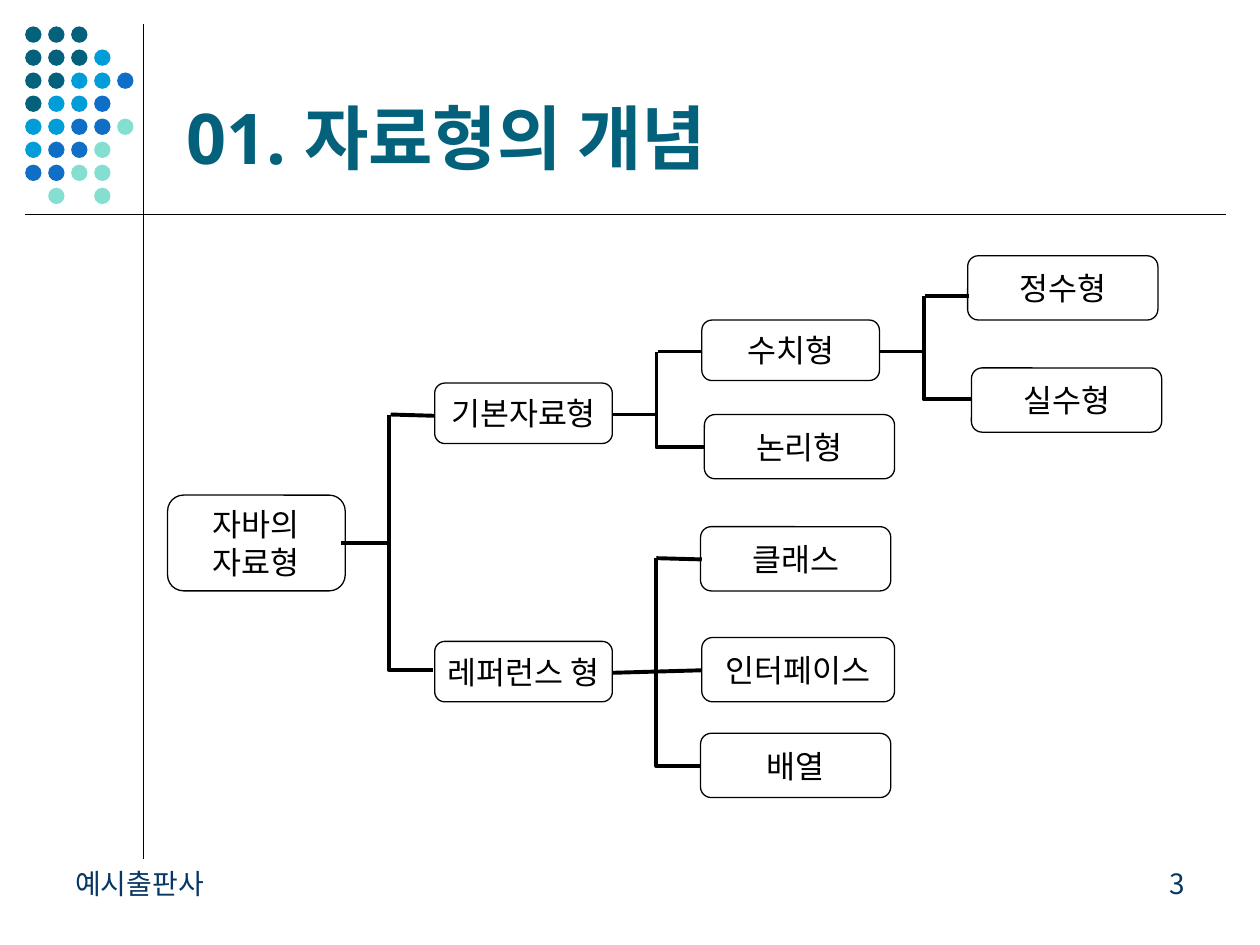
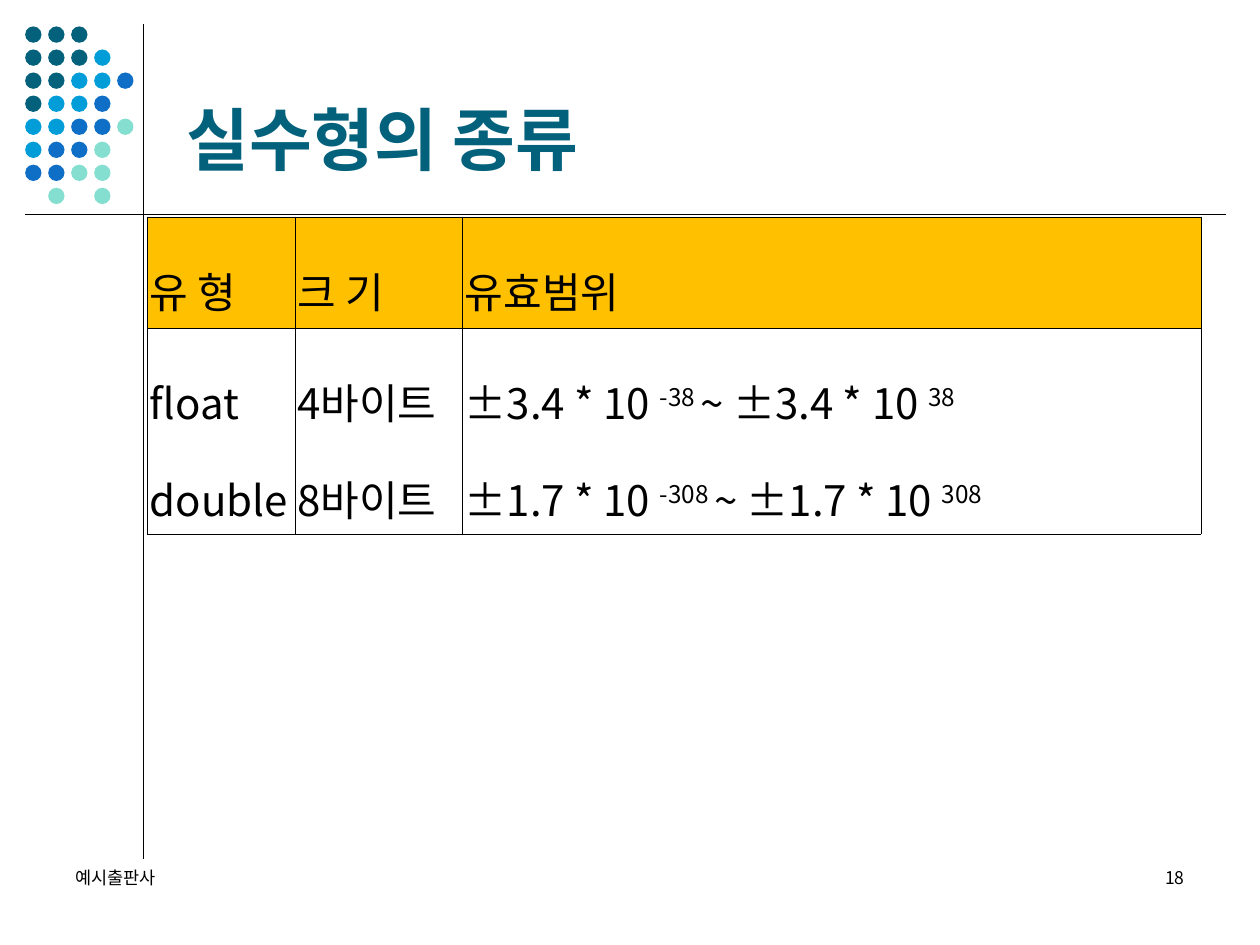
"""Build two Java data type slides: a type hierarchy and a table of floating-point types."""
from dataclasses import dataclass

from lxml.etree import SubElement
from pptx import Presentation
from pptx.dml.color import RGBColor
from pptx.enum.shapes import MSO_CONNECTOR, MSO_SHAPE
from pptx.enum.text import MSO_ANCHOR, PP_ALIGN
from pptx.oxml.ns import qn
from pptx.util import Inches, Pt


@dataclass(frozen=True)
class Theme:
    black: str = "000000"
    teal: str = "04617B"
    sky: str = "009DD9"
    blue: str = "0F6FC6"
    mint: str = "85DFD0"
    navy: str = "083763"
    amber: str = "FFC000"
    title_font: str = "Open Sans"
    body_font: str = "Noto Sans CJK KR"
    box_size: float = 18
    table_size: float = 24
    thin: float = 0.75
    thick: float = 2.25
    cell_border: float = 0.11


theme = Theme()


def add_run(paragraph, text, size, color=theme.black, font=theme.body_font, bold=False):
    run = paragraph.add_run()
    run.text = text
    run.font.size = Pt(size)
    run.font.bold = bold
    run.font.color.rgb = RGBColor.from_string(color)
    run.font.name = font
    properties = run._r.get_or_add_rPr()
    SubElement(properties, qn("a:ea"), typeface=theme.body_font)
    return properties


def add_line(slide, ends, width, kind=MSO_CONNECTOR.STRAIGHT):
    connector = slide.shapes.add_connector(kind, *[Inches(value) for value in ends])
    connector.line.width = Pt(width)
    connector.line.color.rgb = RGBColor.from_string(theme.black)
    SubElement(connector._element.spPr, qn("a:effectLst"))
    return connector


presentation = Presentation()
presentation.slide_width = Inches(10)
presentation.slide_height = Inches(7.5)

dot_colors = {"T": theme.teal, "S": theme.sky, "B": theme.blue, "M": theme.mint}
dot_rows = ["TTT", "TTTS", "TTSSB", "TSSB", "SSBBM", "SBBM", "BBMM", " M M"]
publisher = "예시출판사"
headings = [
    ("01. 자료형의 개념", 40, "3", 16, theme.navy),
    ("실수형의 종류", 39, "18", 10, theme.black),
]

for title, title_size, number, footer_size, footer_color in headings:
    slide = presentation.slides.add_slide(presentation.slide_layouts[6])
    add_line(slide, (1.14, 0.19, 1.14, 6.82), theme.thin)
    for row, letters in enumerate(dot_rows):
        for column, letter in enumerate(letters):
            if letter in dot_colors:
                dot = slide.shapes.add_shape(
                    MSO_SHAPE.OVAL,
                    Inches(0.2 + 0.73 * column / 4), Inches(0.21 + 1.28 * row / 7),
                    Inches(0.13), Inches(0.13),
                )
                dot.shadow.inherit = False
                dot.fill.solid()
                dot.fill.fore_color.rgb = RGBColor.from_string(dot_colors[letter])
                dot.line.fill.background()
    add_line(slide, (0.2, 1.7, 9.73, 1.7), theme.thin)

    title_style = (title_size, theme.teal, theme.title_font, True)
    footer_style = (footer_size, footer_color)
    for text, place, anchor, alignment, style in [
        (title, (1.38, 0.21, 8.25, 1.26), MSO_ANCHOR.BOTTOM, PP_ALIGN.LEFT, title_style),
        (publisher, (0.5, 6.83, 2.33, 0.5), MSO_ANCHOR.TOP, PP_ALIGN.LEFT, footer_style),
        (number, (7.17, 6.83, 2.33, 0.5), MSO_ANCHOR.TOP, PP_ALIGN.RIGHT, footer_style),
    ]:
        text_box = slide.shapes.add_textbox(*[Inches(value) for value in place])
        text_box.text_frame.word_wrap = True
        text_box.text_frame.vertical_anchor = anchor
        paragraph = text_box.text_frame.paragraphs[0]
        paragraph.alignment = alignment
        add_run(paragraph, text, *style)

hierarchy_slide, table_slide = presentation.slides

elbows = [
    (7.33, 2.35, 7.71, 3.17),
    (5.21, 2.79, 5.59, 3.55),
    (5.21, 4.43, 5.56, 6.08),
    (3.09, 3.29, 3.44, 5.32),
]
for ends in elbows:
    elbow = add_line(hierarchy_slide, ends, theme.thick, MSO_CONNECTOR.ELBOW)
    elbow._element.spPr.find(qn("a:prstGeom")).set("prst", "bentConnector2")
    elbow._element.spPr.find(qn("a:xfrm")).set("rot", "10800000")

type_boxes = [
    ("자바의\n자료형", 1.33, 3.93, 1.41, 0.76),
    ("기본자료형", 3.45, 3.04, 1.41, 0.48),
    ("레퍼런스 형", 3.45, 5.09, 1.41, 0.48),
    ("수치형", 5.57, 2.54, 1.41, 0.48),
    ("논리형", 5.59, 3.29, 1.51, 0.51),
    ("클래스", 5.56, 4.18, 1.51, 0.51),
    ("인터페이스", 5.57, 5.06, 1.53, 0.51),
    ("배열", 5.56, 5.82, 1.51, 0.51),
    ("정수형", 7.68, 2.03, 1.51, 0.51),
    ("실수형", 7.71, 2.92, 1.51, 0.51),
]
for label, *place in type_boxes:
    box = hierarchy_slide.shapes.add_shape(
        MSO_SHAPE.ROUNDED_RECTANGLE, *[Inches(value) for value in place]
    )
    box.shadow.inherit = False
    box.fill.background()
    box.line.width = Pt(theme.thin)
    box.line.color.rgb = RGBColor.from_string(theme.black)
    frame = box.text_frame
    frame.word_wrap = False
    frame.vertical_anchor = MSO_ANCHOR.MIDDLE
    frame.margin_left = frame.margin_right = frame.margin_top = frame.margin_bottom = 0
    for index, text in enumerate(label.split("\n")):
        paragraph = frame.add_paragraph() if index else frame.paragraphs[0]
        paragraph.alignment = PP_ALIGN.CENTER
        add_run(paragraph, text, theme.box_size)

branches = [
    (7.34, 2.35, 7.69, 2.35),
    (6.98, 2.79, 7.34, 2.79),
    (5.22, 2.79, 5.57, 2.79),
    (4.86, 3.29, 5.21, 3.29),
    (4.86, 5.34, 5.57, 5.32),
    (5.21, 4.43, 5.57, 4.44),
    (3.1, 3.29, 3.45, 3.3),
    (2.71, 4.31, 3.07, 4.31),
]
for ends in branches:
    add_line(hierarchy_slide, ends, theme.thick)

cell_texts = [
    [["유 형"], ["크 기"], ["유효범위"]],
    [
        ["float", "double"],
        ["4바이트", "8바이트"],
        ["±3.4 * 10 |-38 |~ ±3.4 * 10 |38", "±1.7 * 10 |-308 |~ ±1.7 * 10 |308"],
    ],
]
table = table_slide.shapes.add_table(
    2, 3, Inches(1.17), Inches(1.72), Inches(8.36), Inches(2.52)
).table
for column, width in zip(table.columns, (1.17, 1.33, 5.86)):
    column.width = Inches(width)
for row, height in zip(table.rows, (0.88, 1.64)):
    row.height = Inches(height)

for row_index, row_texts in enumerate(cell_texts):
    for column_index, lines in enumerate(row_texts):
        cell = table.cell(row_index, column_index)
        cell.vertical_anchor = MSO_ANCHOR.MIDDLE
        cell.margin_left = cell.margin_right = Inches(0.02)
        cell.margin_top = cell.margin_bottom = Inches(0.05)
        cell_properties = cell._tc.get_or_add_tcPr()
        for side in ("a:lnL", "a:lnR", "a:lnT", "a:lnB"):
            border = SubElement(cell_properties, qn(side), w=str(Pt(theme.cell_border)))
            border_fill = SubElement(border, qn("a:solidFill"))
            SubElement(border_fill, qn("a:srgbClr"), val=theme.black)
        if row_index == 0:
            cell.fill.solid()
            cell.fill.fore_color.rgb = RGBColor.from_string(theme.amber)
        else:
            cell.fill.background()
        for line_index, line in enumerate(lines):
            frame = cell.text_frame
            paragraph = frame.add_paragraph() if line_index else frame.paragraphs[0]
            paragraph.alignment = PP_ALIGN.JUSTIFY
            paragraph.line_spacing = 1.6
            for part_index, part in enumerate(line.split("|")):
                properties = add_run(paragraph, part, theme.table_size)
                if part_index % 2:
                    properties.set("baseline", "30000")

presentation.save("out.pptx")
